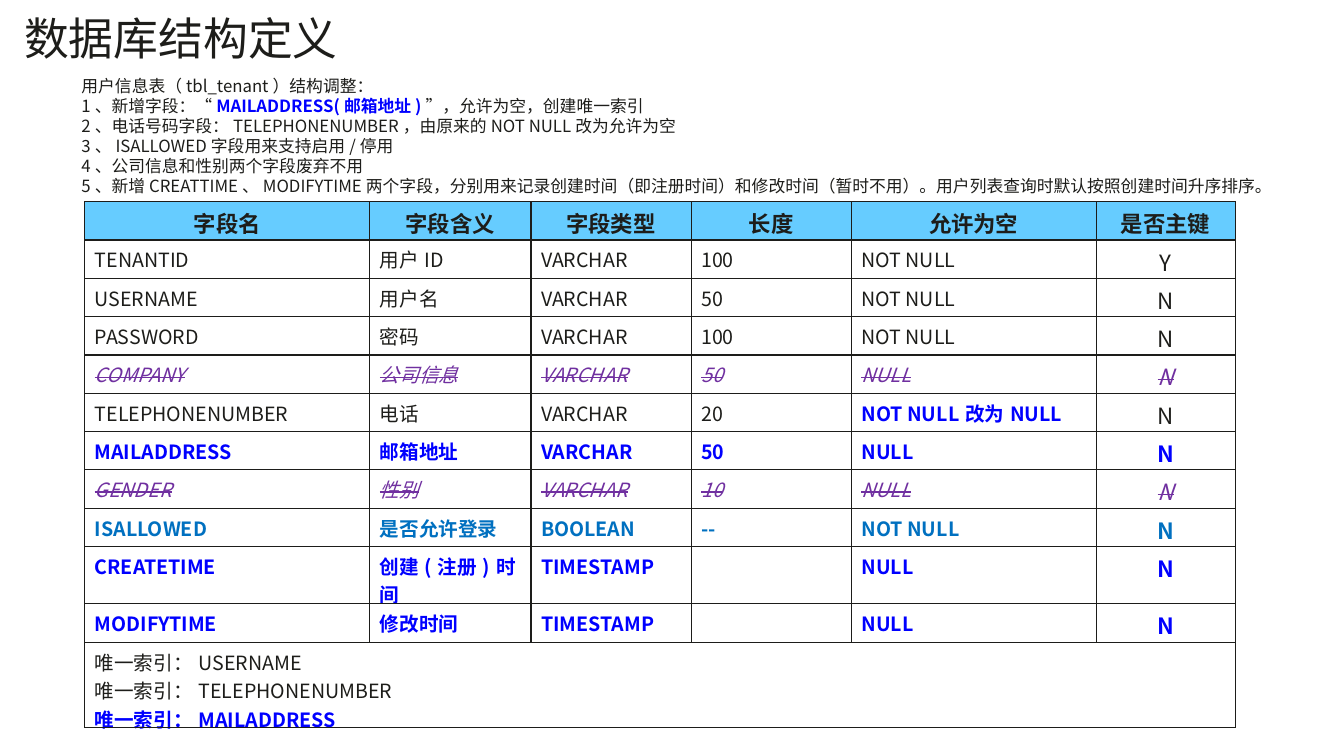
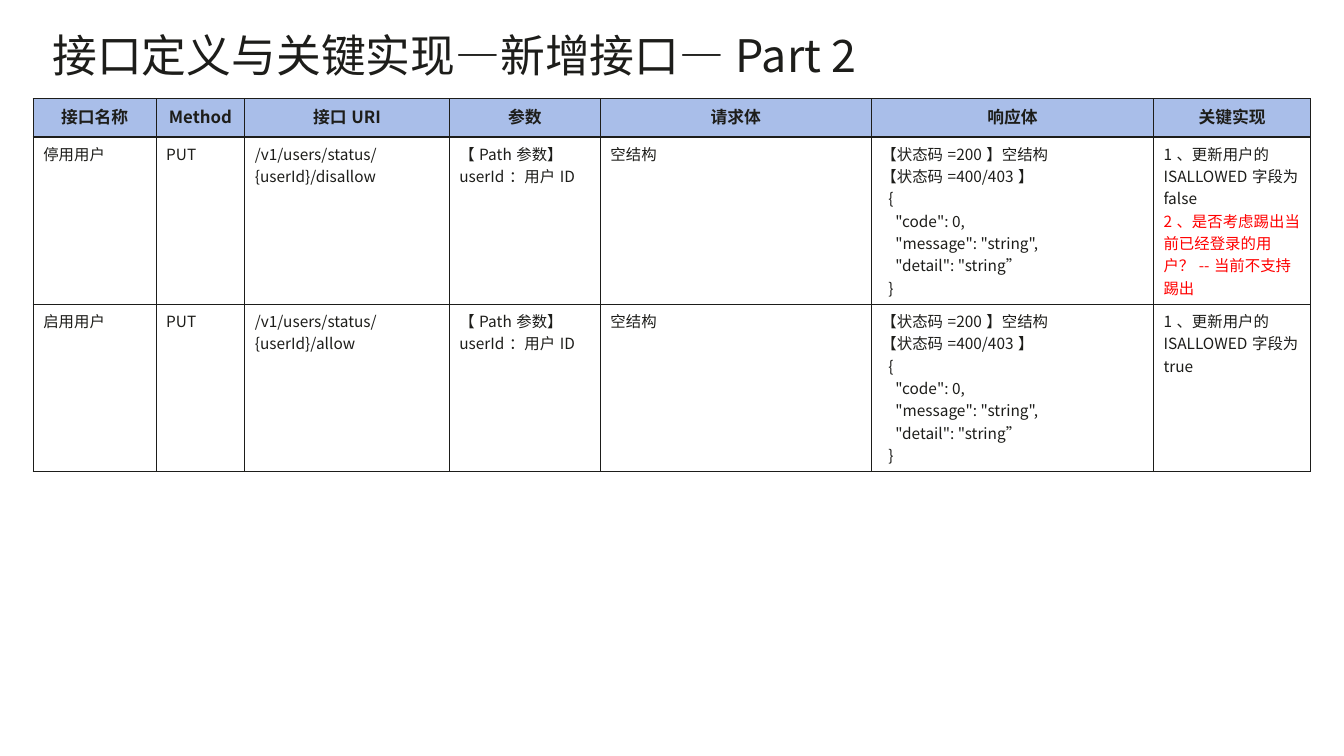
from lxml import etree
from pptx import Presentation, util as u
from pptx.dml.color import RGBColor
from pptx.enum import text
from pptx.oxml.ns import qn

PX = 9144  # one px is 1/100 inch
FONT = "Noto Sans CJK SC"
INK = RGBColor(0x1D, 0x1D, 0x1A)
WHITE = RGBColor(0xFF, 0xFF, 0xFF)
BLUE = RGBColor(0x00, 0x00, 0xFF)
SEA = RGBColor(0x00, 0x70, 0xC0)
PURPLE = RGBColor(0x70, 0x30, 0xA0)
RED = RGBColor(0xFF, 0x00, 0x00)
SKY_HEAD = RGBColor(0x66, 0xCC, 0xFF)
PALE_HEAD = RGBColor(0xA9, 0xBE, 0xE9)

KEPT = {}
ADDED = {"color": BLUE, "bold": True}
SWITCH = {"color": SEA, "bold": True}
DROPPED = {"color": PURPLE, "italic": True, "strike": True}
WARNING = {"color": RED}

# A paragraph is a string or a list of (text, format) runs.
NOTES = [
    "用户信息表（tbl_tenant）结构调整：",
    [("1、新增字段：“", KEPT), ("MAILADDRESS(邮箱地址)", ADDED),
     ("”，允许为空，创建唯一索引", KEPT)],
    "2、电话号码字段：TELEPHONENUMBER，由原来的NOT NULL改为允许为空",
    "3、ISALLOWED字段用来支持启用/停用",
    "4、公司信息和性别两个字段废弃不用",
    "5、新增CREATTIME、MODIFYTIME两个字段，分别用来记录创建时间（即注册时间）"
    "和修改时间（暂时不用）。用户列表查询时默认按照创建时间升序排序。",
]
FIELD_HEAD = ["字段名", "字段含义", "字段类型", "长度", "允许为空", "是否主键"]
FIELD_COLS = [283, 160, 159, 159, 243, 138]
FIELDS = [
    (KEPT, ["TENANTID", "用户ID", "VARCHAR", "100", "NOT NULL", "Y"]),
    (KEPT, ["USERNAME", "用户名", "VARCHAR", "50", "NOT NULL", "N"]),
    (KEPT, ["PASSWORD", "密码", "VARCHAR", "100", "NOT NULL", "N"]),
    (DROPPED, ["COMPANY", "公司信息", "VARCHAR", "50", "NULL", "N"]),
    (KEPT, ["TELEPHONENUMBER", "电话", "VARCHAR", "20",
            [[("NOT NULL改为NULL", ADDED)]], "N"]),
    (ADDED, ["MAILADDRESS", "邮箱地址", "VARCHAR", "50", "NULL", "N"]),
    (DROPPED, ["GENDER", "性别", "VARCHAR", "10", "NULL", "N"]),
    (SWITCH, ["ISALLOWED", "是否允许登录", "BOOLEAN", "--", "NOT NULL", "N"]),
    (ADDED, ["CREATETIME", "创建(注册)时间", "TIMESTAMP", "", "NULL", "N"]),
    (ADDED, ["MODIFYTIME", "修改时间", "TIMESTAMP", "", "NULL", "N"]),
]
INDEXES = ["唯一索引：USERNAME", "唯一索引：TELEPHONENUMBER",
           [("唯一索引：MAILADDRESS", ADDED)]]

API_HEAD = ["接口名称", "Method", "接口URI", "参数", "请求体", "响应体", "关键实现"]
API_COLS = [122, 88, 203, 150, 269, 280, 156]
PARAMS = ["【Path参数】", "userId：用户ID"]
RESPONSE = [
    "【状态码=200】空结构",
    "【状态码=400/403】",
    "  {",
    '    "code": 0,',
    '    "message": "string",',
    '    "detail": "string”',
    "  }",
]
APIS = [
    ["停用用户", "PUT", "/v1/users/status/{userId}/disallow", PARAMS, "空结构", RESPONSE,
     ["1、更新用户的ISALLOWED字段为false",
      [("2、是否考虑踢出当前已经登录的用户？--当前不支持踢出", WARNING)]]],
    ["启用用户", "PUT", "/v1/users/status/{userId}/allow", PARAMS, "空结构", RESPONSE,
     ["1、更新用户的ISALLOWED字段为true"]],
]


def px(*lengths):
    return [round(n * PX) for n in lengths]


def add_run(p, content, size, color=INK, bold=False, italic=False, strike=False):
    r = p.add_run()
    r.text = content
    r.font.size, r.font.name = u.Pt(size), FONT
    r.font.bold, r.font.italic = bold, italic
    r.font.color.rgb = color
    rPr = r._r.get_or_add_rPr()
    if strike:
        rPr.set("strike", "sngStrike")
    etree.SubElement(rPr, qn("a:ea"), typeface=FONT)


def write(tf, content, size, align=text.PP_ALIGN.LEFT, spacing=None, **style):
    """Fill a text frame with one string or a list of paragraphs."""
    paragraphs = [content] if isinstance(content, str) else content
    for i, paragraph in enumerate(paragraphs):
        p = tf.paragraphs[0] if i == 0 else tf.add_paragraph()
        p.alignment = align
        if spacing:
            p.line_spacing = u.Pt(spacing)
        runs = [(paragraph, {})] if isinstance(paragraph, str) else paragraph
        for words, own in runs:
            if words:
                add_run(p, words, size, **{**style, **own})


def add_titled_slide(prs, title, left, top):
    s = prs.slides.add_slide(prs.slide_layouts[5])
    sp = s.shapes.title
    sp.left, sp.top, sp.width, sp.height = px(left, top, 1175, 63)
    tf = sp.text_frame
    tf.margin_left = tf.margin_right = tf.margin_top = tf.margin_bottom = 0
    tf.auto_size = text.MSO_AUTO_SIZE.NONE
    tf.vertical_anchor = text.MSO_ANCHOR.TOP
    write(tf, title, 32, spacing=34.3)
    return s


def add_grid(s, left, top, cols, rows):
    frame = s.shapes.add_table(len(rows), len(cols),
                               *px(left, top, sum(cols), sum(rows)))
    table = frame.table
    table.horz_banding = False
    for col, width in zip(table.columns, px(*cols)):
        col.width = width
    for row, height in zip(table.rows, px(*rows)):
        row.height = height
    for cell in table.iter_cells():
        tcPr = cell._tc.get_or_add_tcPr()
        for side in ("lnL", "lnR", "lnT", "lnB"):
            ln = etree.SubElement(tcPr, qn("a:" + side), w=str(u.Pt(1)))
            fill = etree.SubElement(ln, qn("a:solidFill"))
            etree.SubElement(fill, qn("a:srgbClr"), val=str(INK))
        cell.fill.solid()
        cell.fill.fore_color.rgb = WHITE
    return table


def write_head(table, labels, size, color):
    for cell, label in zip(table.rows[0].cells, labels):
        cell.fill.fore_color.rgb = color
        write(cell.text_frame, label, size, text.PP_ALIGN.CENTER, bold=True)


def build_fields(prs):
    s = add_titled_slide(prs, "数据库结构定义", 24, 16)
    tf = s.shapes.add_textbox(*px(71, 70, 1209, 131)).text_frame
    tf.word_wrap = True
    write(tf, NOTES, 12, spacing=14.3)

    row_heights = [38 if row[1][0] != "CREATETIME" else 57 for row in FIELDS]
    table = add_grid(s, 84, 200, FIELD_COLS, [38.2] + row_heights + [85])
    for cell in table.iter_cells():
        cell.margin_bottom = px(-5)[0]  # keeps the rows tight under the text
    write_head(table, FIELD_HEAD, 16, SKY_HEAD)
    key_col = len(FIELD_COLS) - 1
    for r, (style, values) in enumerate(FIELDS, 1):
        for c, value in enumerate(values):
            size, align = ((16, text.PP_ALIGN.CENTER) if c == key_col
                           else (14, text.PP_ALIGN.LEFT))
            write(table.cell(r, c).text_frame, value, size, align, **style)
    last = len(FIELDS) + 1
    table.cell(last, 0).merge(table.cell(last, key_col))
    write(table.cell(last, 0).text_frame, INDEXES, 14)


def build_apis(prs):
    s = add_titled_slide(prs, "接口定义与关键实现—新增接口—Part 2", 52, 33)
    table = add_grid(s, 33, 98, API_COLS, [38] + [166] * len(APIS))
    write_head(table, API_HEAD, 12, PALE_HEAD)
    for r, values in enumerate(APIS, 1):
        for c, value in enumerate(values):
            write(table.cell(r, c).text_frame, value, 11)


def main():
    prs = Presentation()
    prs.slide_width, prs.slide_height = px(1334, 750)
    build_fields(prs)
    build_apis(prs)
    prs.save("out.pptx")


if __name__ == "__main__":
    main()
